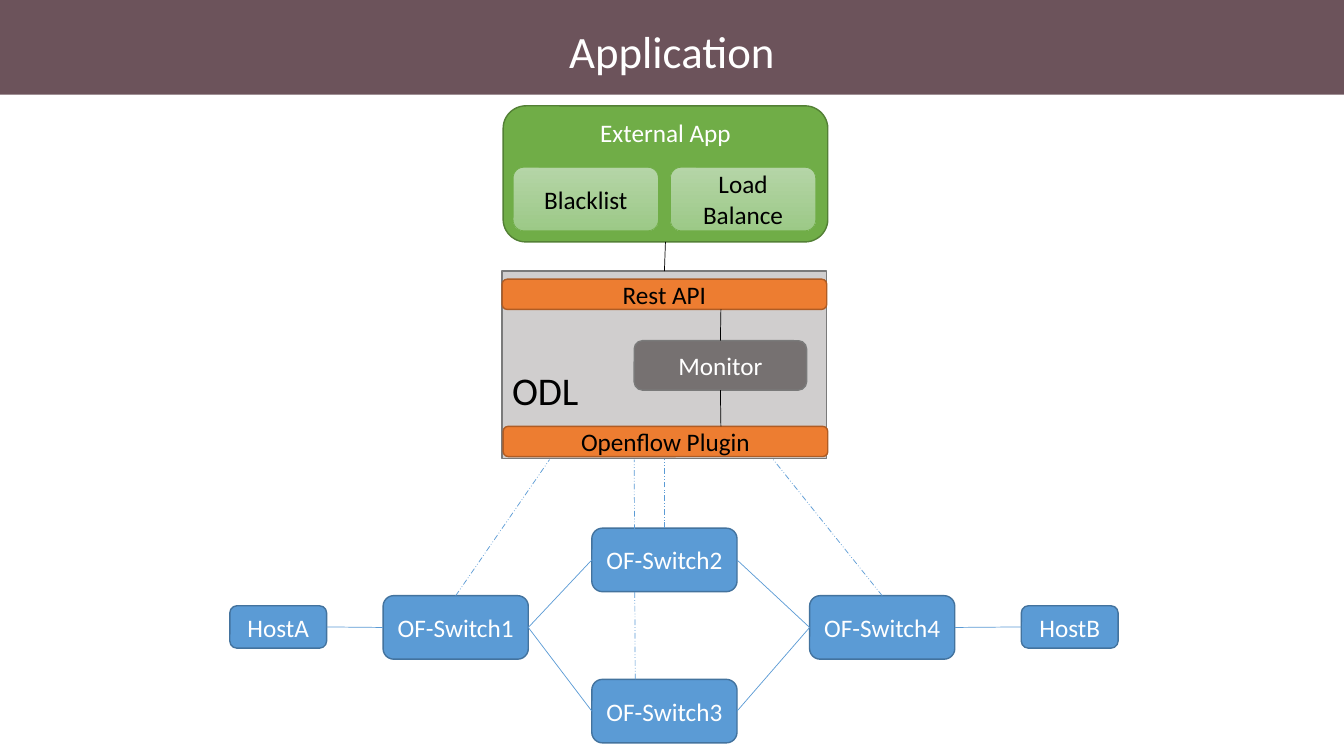
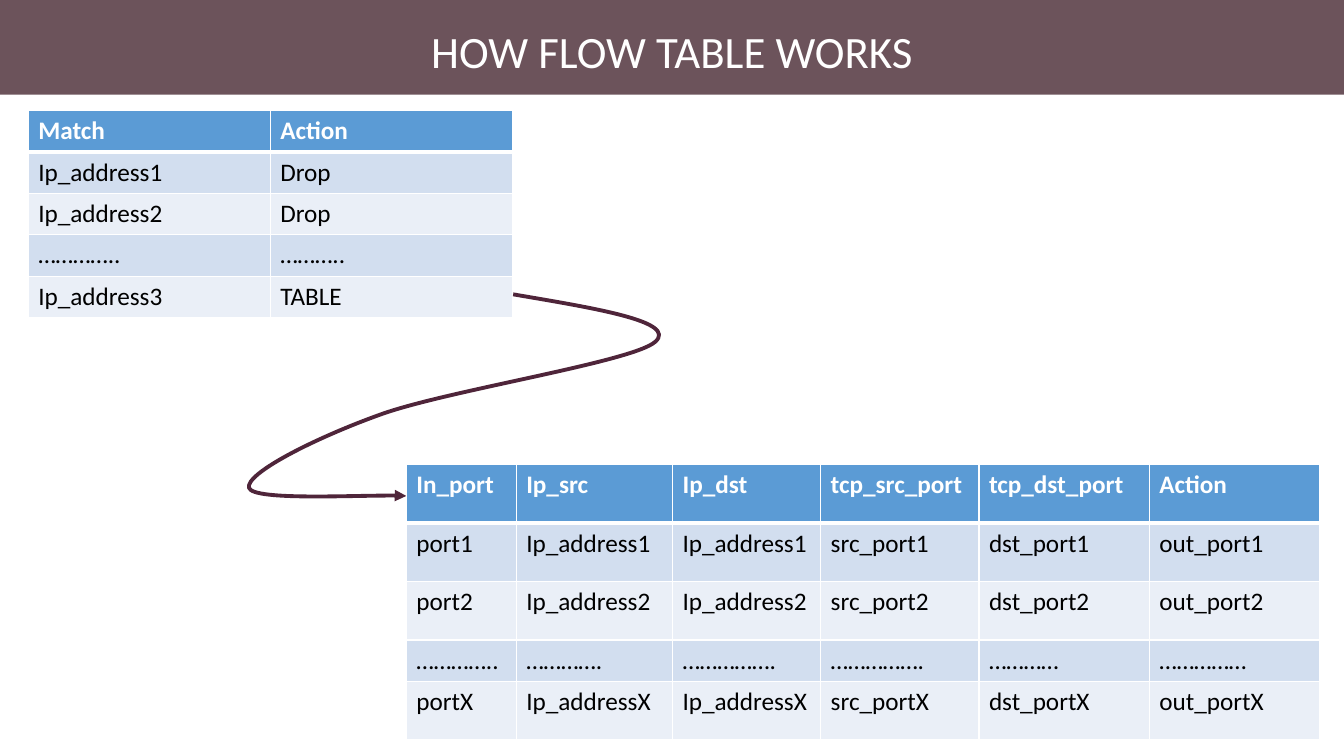
from dataclasses import dataclass

from lxml.etree import SubElement
from pptx import Presentation
from pptx.dml.color import RGBColor
from pptx.enum.dml import MSO_LINE
from pptx.enum.shapes import MSO_CONNECTOR, MSO_SHAPE
from pptx.enum.text import MSO_ANCHOR, PP_ALIGN
from pptx.oxml.ns import qn
from pptx.util import Inches, Pt

FONT = "Calibri"
BAND = RGBColor(0x30, 0x0D, 0x18)
WHITE = RGBColor(0xFF, 0xFF, 0xFF)
BLACK = RGBColor(0x00, 0x00, 0x00)
BLUE = RGBColor(0x5B, 0x9B, 0xD5)
BLUE_EDGE = RGBColor(0x43, 0x73, 0x9E)
GREEN = RGBColor(0x70, 0xAD, 0x47)
GREEN_EDGE = RGBColor(0x53, 0x80, 0x35)
GREEN_TOP = RGBColor(0xB5, 0xD5, 0xA7)
GREEN_BOTTOM = RGBColor(0x9C, 0xC9, 0x87)
ORANGE = RGBColor(0xED, 0x7D, 0x31)
ORANGE_EDGE = RGBColor(0xAF, 0x5C, 0x24)
LIGHT_GRAY = RGBColor(0xD0, 0xCE, 0xCE)
DARK_GRAY = RGBColor(0x76, 0x71, 0x71)
GRAY_EDGE = RGBColor(0x7A, 0x7A, 0x7A)
ROW_ODD = RGBColor(0xD2, 0xDE, 0xEF)
ROW_EVEN = RGBColor(0xEA, 0xEF, 0xF7)
PLUM = RGBColor(0x4F, 0x25, 0x3A)

SLIDE_W, SLIDE_H = 13.33, 7.5
BAND_H = 0.94
TOP, LEFT, BOTTOM, RIGHT = range(4)


@dataclass(frozen=True)
class Look:
    fill: RGBColor
    edge: RGBColor
    ink: RGBColor
    fade: RGBColor | None = None
    edge_pt: float = 1


@dataclass(frozen=True)
class Node:
    label: str
    left: float
    top: float
    width: float
    height: float
    look: Look
    size: int = 18
    rounded: bool = True
    align: PP_ALIGN = PP_ALIGN.CENTER
    anchor: MSO_ANCHOR = MSO_ANCHOR.MIDDLE
    lift: float = 0.05


@dataclass(frozen=True)
class Site:
    node: str
    side: int


@dataclass(frozen=True)
class Spot:
    x: float
    y: float


@dataclass(frozen=True)
class Link:
    start: Site
    end: Site | Spot
    color: RGBColor = BLUE
    dashed: bool = False


@dataclass(frozen=True)
class FlowTable:
    left: float
    top: float
    widths: list[float]
    heights: list[float]
    rows: list[list[str]]


DEVICE = Look(BLUE, BLUE_EDGE, WHITE)
APP = Look(GREEN, GREEN_EDGE, WHITE)
SERVICE = Look(GREEN_TOP, GREEN, BLACK, GREEN_BOTTOM, 0.5)
INTERFACE = Look(ORANGE, ORANGE_EDGE, BLACK)
CONTROLLER = Look(LIGHT_GRAY, GRAY_EDGE, BLACK)
MODULE = Look(DARK_GRAY, GRAY_EDGE, WHITE)


def host(label: str, left: float) -> Node:
    return Node(label, left, 6.01, 0.96, 0.42, DEVICE)


def switch(number: int, left: float, top: float) -> Node:
    return Node(f"OF-Switch{number}", left, top, 1.44, 0.63, DEVICE)


NETWORK = [
    host("HostA", 2.28),
    switch(1, 3.8, 5.91),
    switch(2, 5.87, 5.24),
    switch(3, 5.87, 6.74),
    switch(4, 8.03, 5.91),
    host("HostB", 10.13),
    Node("ODL", 4.98, 2.69, 3.22, 1.86, CONTROLLER, 28, False,
         PP_ALIGN.LEFT, MSO_ANCHOR.BOTTOM, 0.45),
    Node("Rest API", 4.98, 2.77, 3.22, 0.3, INTERFACE),
    Node("Openflow Plugin", 4.99, 4.23, 3.22, 0.3, INTERFACE),
    Node("Monitor", 6.29, 3.38, 1.71, 0.49, MODULE),
]
EXTERNAL = [
    Node("External App", 4.99, 1.05, 3.22, 1.35, APP, anchor=MSO_ANCHOR.TOP),
    Node("Blacklist", 5.09, 1.66, 1.44, 0.63, SERVICE),
    Node("Load Balance", 6.65, 1.66, 1.44, 0.63, SERVICE),
]
LINKS = [
    Link(Site("OF-Switch1", LEFT), Site("HostA", RIGHT)),
    Link(Site("OF-Switch1", RIGHT), Site("OF-Switch2", LEFT)),
    Link(Site("OF-Switch1", RIGHT), Site("OF-Switch3", LEFT)),
    Link(Site("OF-Switch2", RIGHT), Site("OF-Switch4", LEFT)),
    Link(Site("OF-Switch3", RIGHT), Site("OF-Switch4", LEFT)),
    Link(Site("OF-Switch4", RIGHT), Site("HostB", LEFT)),
    Link(Site("OF-Switch1", TOP), Spot(5.45, 4.56), dashed=True),
    Link(Site("OF-Switch2", TOP), Site("ODL", BOTTOM), dashed=True),
    Link(Site("OF-Switch4", TOP), Spot(7.67, 4.56), dashed=True),
    Link(Site("Monitor", TOP), Spot(7.15, 3.07), BLACK),
    Link(Site("Monitor", BOTTOM), Spot(7.15, 4.23), BLACK),
    Link(Site("External App", BOTTOM), Site("ODL", TOP), BLACK),
]
SWITCH3_CONTROL = (Spot(6.3, 6.74), Spot(6.29, 4.56))

MATCH_TABLE = FlowTable(0.28, 1.1, [2.4] * 2, [0.41] * 5, [
    ["Match", "Action"],
    ["Ip_address1", "Drop"],
    ["Ip_address2", "Drop"],
    ["…………..", "……….."],
    ["Ip_address3", "TABLE"],
])
PORT_TABLE = FlowTable(
    4.03, 4.61, [1.09, 1.55, 1.47, 1.57, 1.69, 1.69],
    [0.58, 0.58, 0.58, 0.41, 0.58], [
        ["In_port", "Ip_src", "Ip_dst", "tcp_src_port", "tcp_dst_port", "Action"],
        ["port1", "Ip_address1", "Ip_address1", "src_port1", "dst_port1", "out_port1"],
        ["port2", "Ip_address2", "Ip_address2", "src_port2", "dst_port2", "out_port2"],
        ["…………..", "………….", "…………….", "…………….", "…………", "……………"],
        ["portX", "Ip_addressX", "Ip_addressX", "src_portX", "dst_portX", "out_portX"],
    ])
JUMP = [
    (5.09, 2.92),
    (5.91, 3.06), (6.72, 3.19), (6.5, 3.39),
    (6.28, 3.59), (4.45, 3.87), (3.78, 4.11),
    (3.11, 4.35), (2.43, 4.7), (2.47, 4.84),
    (2.51, 4.97), (3.74, 4.9), (4.03, 4.92),
]


def write(frame, text: str, size: int, ink: RGBColor,
          align: PP_ALIGN = PP_ALIGN.LEFT, bold: bool = False) -> None:
    frame.word_wrap = True
    paragraph = frame.paragraphs[0]
    paragraph.alignment = align
    run = paragraph.add_run()
    run.text = text
    run.font.name = FONT
    run.font.size = Pt(size)
    run.font.bold = bold
    run.font.color.rgb = ink


def add_band(layout, slide) -> None:
    band = slide.shapes.add_shape(
        MSO_SHAPE.RECTANGLE, 0, 0, Inches(SLIDE_W), Inches(BAND_H))
    band.shadow.inherit = False
    band.fill.solid()
    band.fill.fore_color.rgb = BAND
    band.line.fill.background()
    tint = band.element.spPr.find(qn("a:solidFill")).find(qn("a:srgbClr"))
    SubElement(tint, qn("a:alpha"), val="71000")
    layout.shapes.element.append(band.element)


def add_title(slide, text: str) -> None:
    title = slide.shapes.add_textbox(
        Inches(3.44), Inches(0.19), Inches(6.45), Inches(0.64))
    write(title.text_frame, text, 32, WHITE, PP_ALIGN.CENTER)


def add_node(shapes, node: Node):
    preset = MSO_SHAPE.ROUNDED_RECTANGLE if node.rounded else MSO_SHAPE.RECTANGLE
    box = shapes.add_shape(preset, Inches(node.left), Inches(node.top),
                           Inches(node.width), Inches(node.height))
    box.shadow.inherit = False
    look = node.look
    if look.fade is None:
        box.fill.solid()
        box.fill.fore_color.rgb = look.fill
    else:
        box.fill.gradient()
        box.fill.gradient_angle = 270
        for stop, color in zip(box.fill.gradient_stops, (look.fill, look.fade)):
            stop.color.rgb = color
    box.line.color.rgb = look.edge
    box.line.width = Pt(look.edge_pt)
    frame = box.text_frame
    frame.vertical_anchor = node.anchor
    frame.margin_bottom = Inches(node.lift)
    write(frame, node.label, node.size, look.ink, node.align)
    return box


def add_line(slide, start: Spot, end: Spot, color: RGBColor, dashed: bool):
    line = slide.shapes.add_connector(
        MSO_CONNECTOR.STRAIGHT, Inches(start.x), Inches(start.y),
        Inches(end.x), Inches(end.y))
    line.line.color.rgb = color
    line.line.width = Pt(0.5)
    if dashed:
        line.line.dash_style = MSO_LINE.DASH_DOT_DOT
    SubElement(line.element.spPr, qn("a:effectLst"))
    return line


def add_link(slide, link: Link, boxes: dict) -> None:
    end = link.end if isinstance(link.end, Spot) else Spot(0, 0)
    line = add_line(slide, end, end, link.color, link.dashed)
    line.begin_connect(boxes[link.start.node], link.start.side)
    if isinstance(link.end, Site):
        line.end_connect(boxes[link.end.node], link.end.side)


def set_borders(cell, row: int) -> None:
    properties = cell._tc.get_or_add_tcPr()
    widths = {"lnL": 1, "lnR": 1, "lnT": 3 if row == 1 else 1, "lnB": 3 if row == 0 else 1}
    for edge, points in widths.items():
        border = SubElement(properties, qn(f"a:{edge}"), w=str(int(Pt(points))))
        SubElement(SubElement(border, qn("a:solidFill")), qn("a:srgbClr"), val=str(WHITE))


def add_flow_table(slide, flow: FlowTable) -> None:
    table = slide.shapes.add_table(
        len(flow.heights), len(flow.widths), Inches(flow.left), Inches(flow.top),
        Inches(sum(flow.widths)), Inches(sum(flow.heights))).table
    for column, width in zip(table.columns, flow.widths):
        column.width = Inches(width)
    for r, (height, texts) in enumerate(zip(flow.heights, flow.rows)):
        table.rows[r].height = Inches(height)
        header = r == 0
        for c, text in enumerate(texts):
            cell = table.cell(r, c)
            set_borders(cell, r)
            cell.fill.solid()
            cell.fill.fore_color.rgb = BLUE if header else ROW_ODD if r % 2 else ROW_EVEN
            write(cell.text_frame, text, 18, WHITE if header else BLACK, bold=header)


def add_curved_arrow(slide, points: list[tuple[float, float]]) -> None:
    start, *rest = [(Inches(x), Inches(y)) for x, y in points]
    builder = slide.shapes.build_freeform(*start)
    builder.add_line_segments(rest, close=False)
    arrow = builder.convert_to_shape()
    arrow.shadow.inherit = False
    arrow.fill.background()
    arrow.line.color.rgb = PLUM
    arrow.line.width = Pt(2.75)
    outline = arrow.element.spPr
    SubElement(outline.find(qn("a:ln")), qn("a:tailEnd"), type="triangle")
    track = next(outline.iter(qn("a:path")))
    steps = track.findall(qn("a:lnTo"))
    for i in range(0, len(steps), 3):
        curve = SubElement(track, qn("a:cubicBezTo"))
        for step in steps[i:i + 3]:
            curve.append(step[0])
            track.remove(step)


def build_application(slide) -> None:
    add_title(slide, "Application")
    boxes = {node.label: add_node(slide.shapes, node) for node in NETWORK}
    group = slide.shapes.add_group_shape()
    boxes |= {node.label: add_node(group.shapes, node) for node in EXTERNAL}
    for link in LINKS:
        add_link(slide, link, boxes)
    add_line(slide, *SWITCH3_CONTROL, BLUE, True)


def build_flow_tables(slide) -> None:
    add_title(slide, "HOW FLOW TABLE WORKS")
    add_flow_table(slide, MATCH_TABLE)
    add_curved_arrow(slide, JUMP)
    add_flow_table(slide, PORT_TABLE)


def main() -> None:
    deck = Presentation()
    deck.slide_width, deck.slide_height = Inches(SLIDE_W), Inches(SLIDE_H)
    blank = deck.slide_layouts[6]
    application = deck.slides.add_slide(blank)
    add_band(blank, application)
    build_application(application)
    build_flow_tables(deck.slides.add_slide(blank))
    deck.save("out.pptx")


if __name__ == "__main__":
    main()
